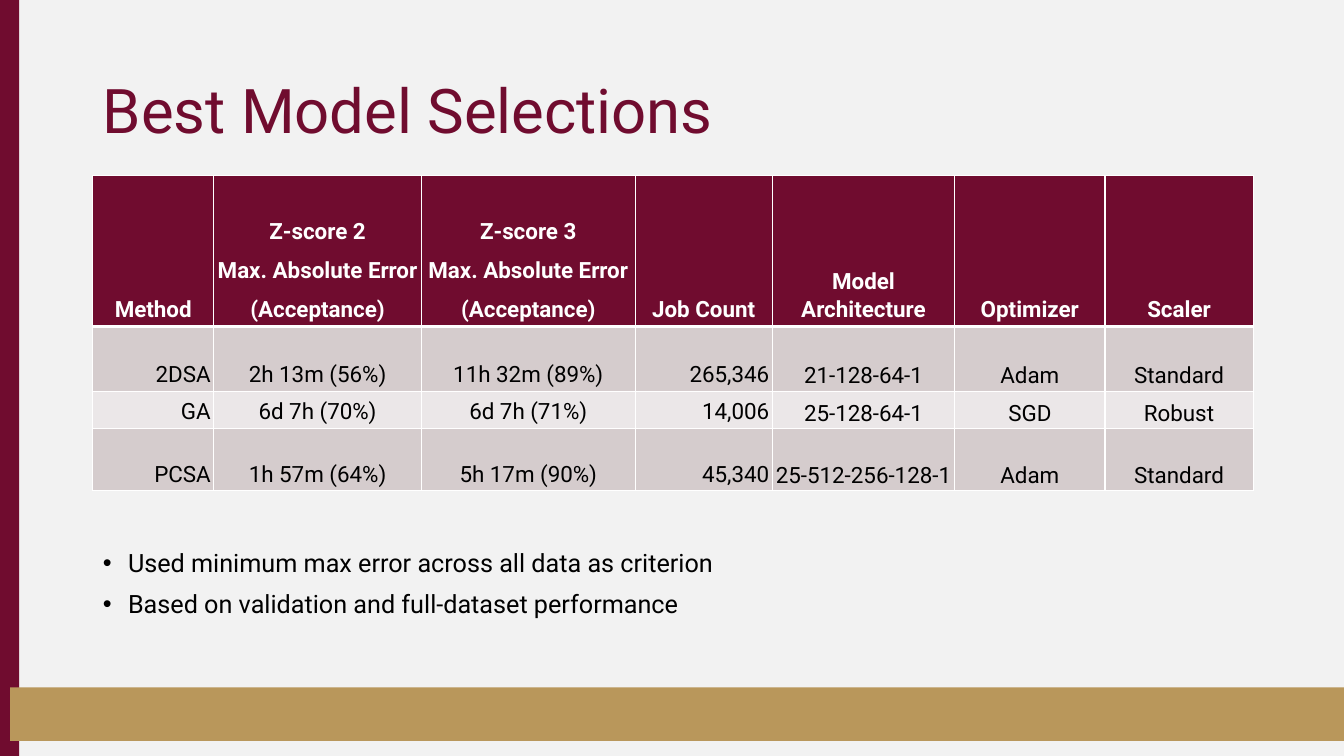
from lxml import etree
from pptx import Presentation
from pptx.dml.color import RGBColor
from pptx.enum import shapes, text
from pptx.oxml import ns
from pptx.util import Inches, Pt

FONT = "Roboto"
MAROON, GOLD, WHITE, BLACK = "700C2F", "B9975B", "FFFFFF", "000000"
PAGE, BAND_DARK, BAND_LIGHT = "F2F2F2", "D5CCCD", "EBE7E8"
LEFT, CENTER, RIGHT = text.PP_ALIGN.LEFT, text.PP_ALIGN.CENTER, text.PP_ALIGN.RIGHT

COLUMN_WIDTHS = [1.2, 2.06, 2.12, 1.36, 1.81, 1.49, 1.47]
ROW_HEIGHTS = [1.5, 0.64, 0.37, 0.62]
RIGHT_ALIGNED_COLUMNS = (0, 3)
MODELS = [
    ["Method", "Z-score 2\nMax. Absolute Error\n(Acceptance)",
     "Z-score 3\nMax. Absolute Error\n(Acceptance)", "Job Count",
     "Model Architecture", "Optimizer", "Scaler"],
    ["2DSA", "2h 13m (56%)", "11h 32m (89%)", "265,346", "21-128-64-1", "Adam", "Standard"],
    ["GA", "6d 7h (70%)", "6d 7h (71%)", "14,006", "25-128-64-1", "SGD", "Robust"],
    ["PCSA", "1h 57m (64%)", "5h 17m (90%)", "45,340", "25-512-256-128-1", "Adam", "Standard"],
]
NOTES = ["Used minimum max error across all data as criterion",
         "Based on validation and full-dataset performance"]


def color(value):
    return RGBColor.from_string(value)


def set_attributes(target, values):
    for name, value in values.items():
        setattr(target, name, value)


def place(shape, left, top, width, height):
    set_attributes(shape, {"left": Inches(left), "top": Inches(top),
                           "width": Inches(width), "height": Inches(height)})


def write(paragraph, content, size, font_color, bold=False, **layout):
    set_attributes(paragraph, layout)
    run = paragraph.add_run()
    run.text = content
    set_attributes(run.font, {"name": FONT, "size": Pt(size), "bold": bold})
    run.font.color.rgb = color(font_color)


def add_bar(slide, left, top, width, height, fill):
    bar = slide.shapes.add_shape(shapes.MSO_SHAPE.RECTANGLE, Inches(left), Inches(top),
                                 Inches(width), Inches(height))
    bar.shadow.inherit = False
    bar.fill.solid()
    bar.fill.fore_color.rgb = color(fill)
    bar.line.fill.background()


def add_bullet(paragraph):
    properties = paragraph._p.get_or_add_pPr()
    properties.set("marL", str(Inches(0.25)))
    properties.set("indent", str(-Inches(0.25)))
    etree.SubElement(properties, ns.qn("a:buFont"), typeface="Arial")
    etree.SubElement(properties, ns.qn("a:buChar"), char="•")


def add_borders(cell, widths):
    """Draw white cell borders, given in points by side."""
    properties = cell._tc.get_or_add_tcPr()
    for side, width in widths.items():
        line = etree.SubElement(properties, ns.qn(f"a:ln{side}"), w=str(Pt(width)))
        fill = etree.SubElement(line, ns.qn("a:solidFill"))
        etree.SubElement(fill, ns.qn("a:srgbClr"), val=WHITE)


def format_cell(cell, row, column):
    header = row == 0
    add_borders(cell, {"L": 1, "R": 1, "T": 3 if row == 1 else 1, "B": 3 if header else 1})
    cell.fill.solid()
    cell.fill.fore_color.rgb = color(
        MAROON if header else BAND_DARK if row % 2 else BAND_LIGHT)
    margin = Inches(0.01 if header else 0.03 if column < 4 else 0.02)
    set_attributes(cell, {"vertical_anchor": text.MSO_ANCHOR.BOTTOM, "margin_left": margin,
                          "margin_right": margin, "margin_top": margin,
                          "margin_bottom": Inches(0.04) if header else margin})


def fill_cell(cell, content, row, column):
    header = row == 0
    right = not header and column in RIGHT_ALIGNED_COLUMNS
    frame = cell.text_frame
    for index, line in enumerate(content.split("\n")):
        paragraph = frame.add_paragraph() if index else frame.paragraphs[0]
        write(paragraph, line, 16, WHITE if header else BLACK, header,
              alignment=RIGHT if right else CENTER, line_spacing=1.07, space_after=Pt(8))


def add_model_table(slide):
    frame = slide.shapes.add_table(len(MODELS), len(COLUMN_WIDTHS), Inches(0.92), Inches(1.74),
                                   Inches(sum(COLUMN_WIDTHS)), Inches(sum(ROW_HEIGHTS)))
    table = frame.table
    for column, width in zip(table.columns, COLUMN_WIDTHS):
        column.width = Inches(width)
    for row, height in zip(table.rows, ROW_HEIGHTS):
        row.height = Inches(height)
    for row, values in enumerate(MODELS):
        for column, content in enumerate(values):
            cell = table.cell(row, column)
            format_cell(cell, row, column)
            fill_cell(cell, content, row, column)


def fill_title(title):
    place(title, 0.92, 0.4, 11.5, 1.45)
    title.text_frame.vertical_anchor = text.MSO_ANCHOR.MIDDLE
    write(title.text_frame.paragraphs[0], "Best Model Selections", 44, MAROON,
          alignment=LEFT, line_spacing=0.9)


def fill_notes(body):
    place(body, 0.92, 5.41, 10.98, 0.97)
    frame = body.text_frame
    for index, note in enumerate(NOTES):
        paragraph = frame.add_paragraph() if index else frame.paragraphs[0]
        add_bullet(paragraph)
        write(paragraph, note, 18, BLACK, alignment=LEFT, line_spacing=0.9,
              space_before=Pt(10 if index else 0))


def main():
    presentation = Presentation()
    presentation.slide_width, presentation.slide_height = Inches(13.33), Inches(7.5)
    slide = presentation.slides.add_slide(presentation.slide_layouts[1])
    slide.background.fill.solid()
    slide.background.fill.fore_color.rgb = color(PAGE)
    add_bar(slide, 0, 0, 0.19, 7.5, MAROON)
    add_bar(slide, 0.1, 6.82, 13.23, 0.53, GOLD)
    fill_title(slide.shapes.title)
    fill_notes(slide.placeholders[1])
    add_model_table(slide)
    presentation.save("out.pptx")


if __name__ == "__main__":
    main()
